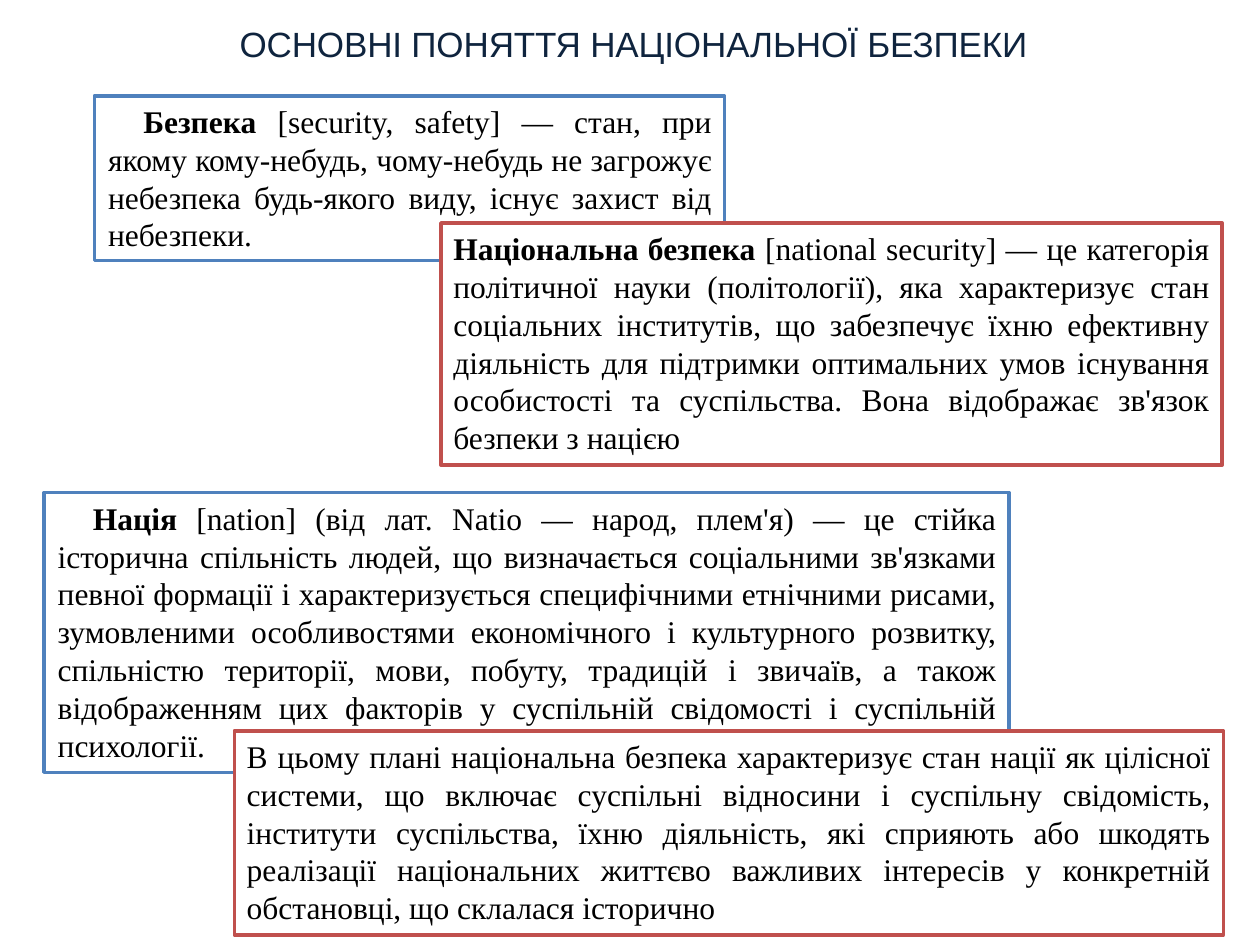
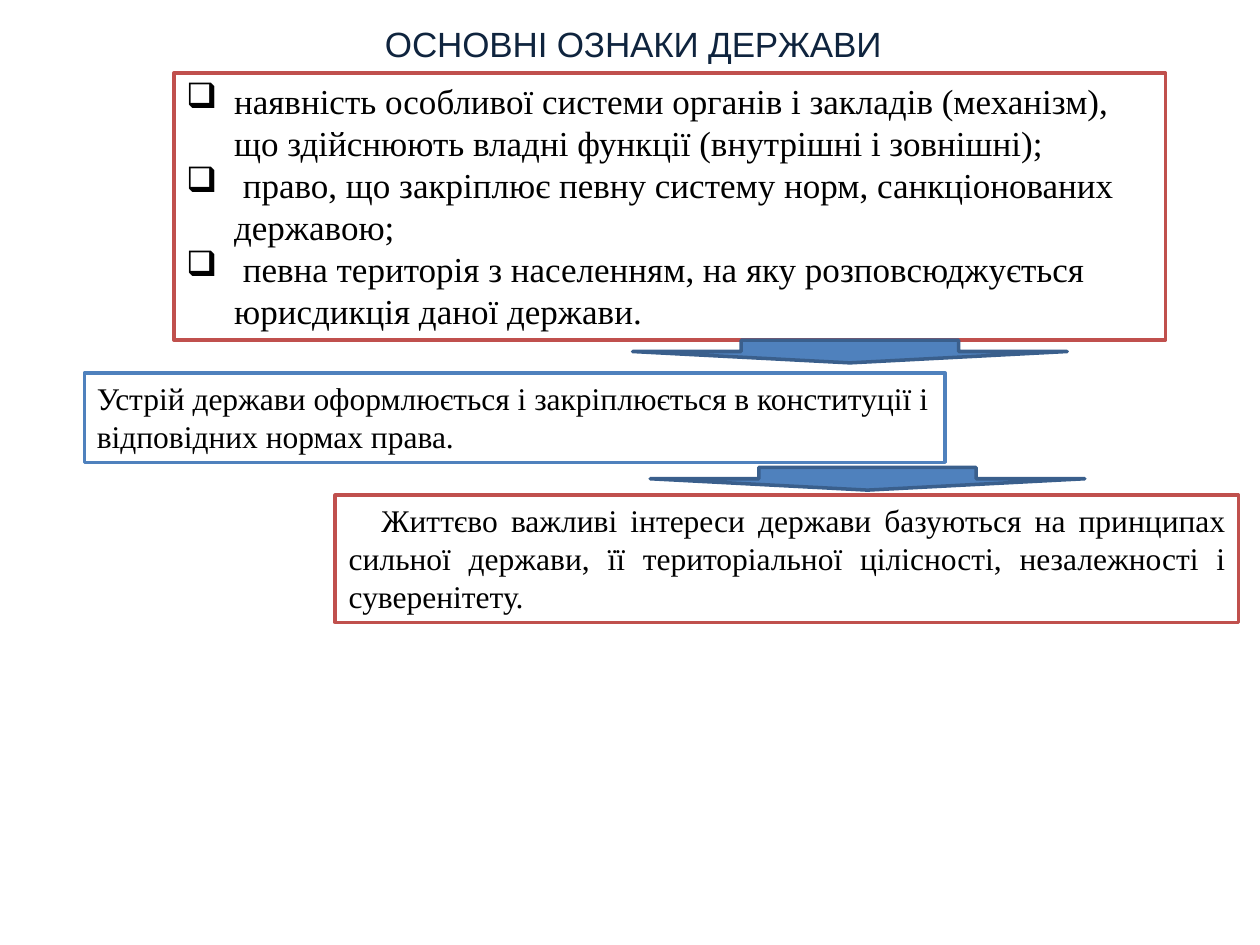
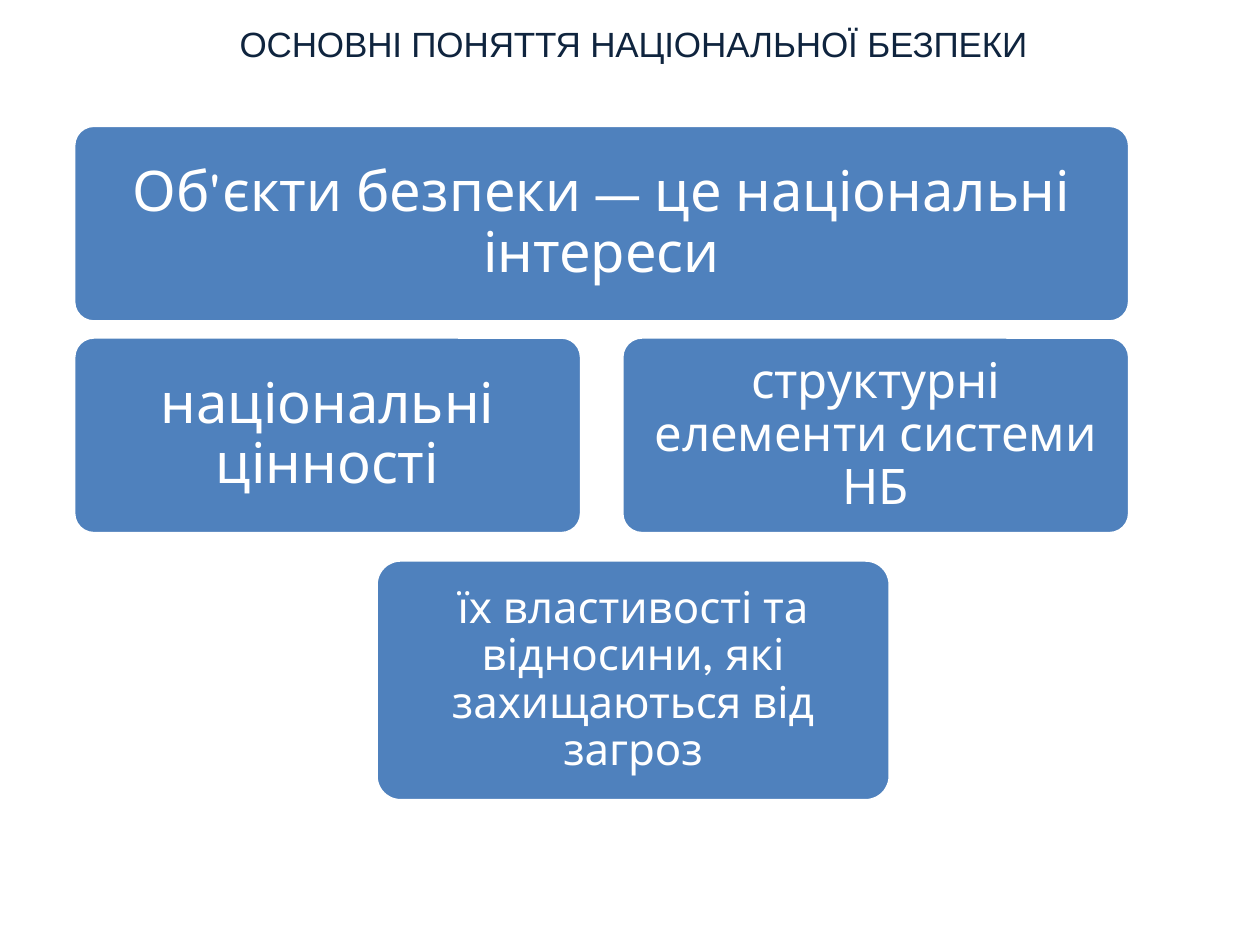
from lxml.etree import SubElement
from pptx import Presentation
from pptx.dml.color import RGBColor
from pptx.enum.shapes import MSO_SHAPE
from pptx.enum.text import MSO_ANCHOR, MSO_AUTO_SIZE, PP_ALIGN
from pptx.oxml.ns import qn
from pptx.util import Inches, Pt

# Shared look
BLUE, DARK_BLUE, RED = "4F81BD", "3A5F8C", "C0504D"
NAVY, BLACK, WHITE = "0F243E", "000000", "FFFFFF"
LEFT, CENTER, JUSTIFY = PP_ALIGN.LEFT, PP_ALIGN.CENTER, PP_ALIGN.JUSTIFY


def color(hex_value):
    return RGBColor.from_string(hex_value)


def write_text(paragraph, text, font="Times New Roman", size=18, fill=BLACK, lead="",
               align=LEFT, margin=0, indent=0, bullet="", line_spacing=None, tracking=None):
    paragraph.alignment = align
    paragraph.line_spacing = line_spacing
    properties = paragraph._p.get_or_add_pPr()
    properties.set("marL", str(Inches(margin)))
    properties.set("indent", str(Inches(indent)))
    if bullet:
        bullet_color = SubElement(properties, qn("a:buClr"))
        SubElement(bullet_color, qn("a:srgbClr"), val=fill)
        SubElement(properties, qn("a:buChar"), char=bullet)
    for part, bold in ((lead, True), (text, False)):
        if part:
            run = paragraph.add_run()
            run.text = part
            run.font.name = font
            run.font.size = Pt(size)
            run.font.bold = bold
            run.font.color.rgb = color(fill)
            if tracking is not None:
                run._r.get_or_add_rPr().set("spc", str(tracking))


presentation = Presentation()
presentation.slide_width = Inches(10)
presentation.slide_height = Inches(7.5)

# Slides and titles
titles = [
    "ОСНОВНІ ПОНЯТТЯ НАЦІОНАЛЬНОЇ БЕЗПЕКИ",
    "ОСНОВНІ ОЗНАКИ ДЕРЖАВИ",
    "ОСНОВНІ ПОНЯТТЯ НАЦІОНАЛЬНОЇ БЕЗПЕКИ",
]
slides = []
for title_text in titles:
    slide = presentation.slides.add_slide(presentation.slide_layouts[5])
    title = slide.shapes.title
    title.left, title.top = Inches(0.2), Inches(0.13)
    title.width, title.height = Inches(9.65), Inches(0.44)
    title.text_frame.auto_size = MSO_AUTO_SIZE.NONE
    title.text_frame.vertical_anchor = MSO_ANCHOR.TOP
    write_text(title.text_frame.paragraphs[0], title_text, font="Arial", size=20,
               fill=NAVY, align=CENTER, tracking=-10)
    slides.append(slide)
concepts_slide, state_slide, objects_slide = slides

# Outlined definition boxes: slide, position, outline, paragraphs, format
first_line = {"align": JUSTIFY, "margin": 0.01, "indent": 0.28}
boxes = [
    (concepts_slide, (0.75, 0.76, 5, 1.31), BLUE, [
        "[security, safety] — стан, при якому кому-небудь, чому-небудь не загрожує "
        "небезпека будь-якого виду, існує захист від небезпеки."],
     {**first_line, "lead": "Безпека "}),
    (concepts_slide, (3.5, 1.77, 6.2, 1.92), RED, [
        "[national security] — це категорія політичної науки (політології), яка "
        "характеризує стан соціальних інститутів, що забезпечує їхню ефективну "
        "діяльність для підтримки оптимальних умов існування особистості та "
        "суспільства. Вона відображає зв'язок безпеки з нацією"],
     {"align": JUSTIFY, "lead": "Національна безпека "}),
    (concepts_slide, (0.35, 3.91, 7.66, 2.22), BLUE, [
        "[nation] (від лат. Natio — народ, плем'я) — це стійка історична спільність "
        "людей, що визначається соціальними зв'язками певної формації і "
        "характеризується специфічними етнічними рисами, зумовленими особливостями "
        "економічного і культурного розвитку, спільністю території, мови, побуту, "
        "традицій і звичаїв, а також відображенням цих факторів у суспільній "
        "свідомості і суспільній психології."],
     {**first_line, "lead": "Нація "}),
    (concepts_slide, (1.86, 5.8, 7.85, 1.62), RED, [
        "В цьому плані національна безпека характеризує стан нації як цілісної "
        "системи, що включає суспільні відносини і суспільну свідомість, інститути "
        "суспільства, їхню діяльність, які сприяють або шкодять реалізації "
        "національних життєво важливих інтересів у конкретній обстановці, що "
        "склалася історично"],
     {"align": JUSTIFY}),
    (state_slide, (1.38, 0.58, 7.87, 2.12), RED, [
        "наявність особливої системи органів і закладів (механізм), що здійснюють "
        "владні функції (внутрішні і зовнішні);",
        " право, що закріплює певну систему норм, санкціонованих державою;",
        " певна територія з населенням, на яку розповсюджується юрисдикція даної "
        "держави."],
     {"size": 20, "margin": 0.38, "indent": -0.38, "bullet": "❑"}),
    (state_slide, (0.67, 2.96, 6.83, 0.71), BLUE, [
        "Устрій держави оформлюється і закріплюється в конституції і відповідних "
        "нормах права."],
     {}),
    (state_slide, (2.66, 3.93, 7.17, 1.01), RED, [
        "Життєво важливі інтереси держави базуються на принципах сильної держави, "
        "її територіальної цілісності, незалежності і суверенітету."],
     {**first_line, "indent": 0.26}),
]
for slide, position, outline, texts, text_format in boxes:
    box = slide.shapes.add_shape(MSO_SHAPE.RECTANGLE, *map(Inches, position))
    box.shadow.inherit = False
    box.fill.solid()
    box.fill.fore_color.rgb = color(WHITE)
    box.line.color.rgb = color(outline)
    box.line.width = Pt(2)
    frame = box.text_frame
    frame.word_wrap = True
    frame.auto_size = MSO_AUTO_SIZE.SHAPE_TO_FIT_TEXT
    frame.vertical_anchor = MSO_ANCHOR.TOP
    for index, text in enumerate(texts):
        paragraph = frame.add_paragraph() if index else frame.paragraphs[0]
        write_text(paragraph, text, **text_format)

# Arrows between the state boxes
for left, top in ((5.02, 2.7), (5.16, 3.71)):
    arrow = state_slide.shapes.add_shape(
        MSO_SHAPE.DOWN_ARROW, Inches(left), Inches(top), Inches(3.45), Inches(0.18))
    arrow.shadow.inherit = False
    arrow.fill.solid()
    arrow.fill.fore_color.rgb = color(BLUE)
    arrow.line.color.rgb = color(DARK_BLUE)
    arrow.line.width = Pt(2)

# Cards for the objects of security: position, padding, size, text
cards = [
    ((0.59, 1, 8.37, 1.55), 0.18, 32, "Об'єкти безпеки — це національні інтереси"),
    ((0.59, 2.68, 4.02, 1.55), 0.18, 32, "національні цінності"),
    ((4.94, 2.68, 4.02, 1.55), 0.17, 28, "структурні елементи системи НБ"),
    ((2.99, 4.45, 4.07, 1.9), 0.15, 25,
     "їх властивості та відносини, які захищаються від загроз"),
]
for position, padding, size, text in cards:
    card = objects_slide.shapes.add_shape(
        MSO_SHAPE.ROUNDED_RECTANGLE, *map(Inches, position))
    card.adjustments[0] = 0.1
    card.shadow.inherit = False
    card.fill.solid()
    card.fill.fore_color.rgb = color(BLUE)
    card.line.color.rgb = color(WHITE)
    card.line.width = Pt(1.25)
    frame = card.text_frame
    frame.word_wrap = True
    frame.vertical_anchor = MSO_ANCHOR.MIDDLE
    # The rounded corners already inset the text by about 0.05
    inset = Inches(padding - 0.05)
    frame.margin_left = frame.margin_right = inset
    frame.margin_top = frame.margin_bottom = inset
    write_text(frame.paragraphs[0], text, font="League Spartan", size=size, fill=WHITE,
               align=CENTER, line_spacing=0.9)

presentation.save("out.pptx")
